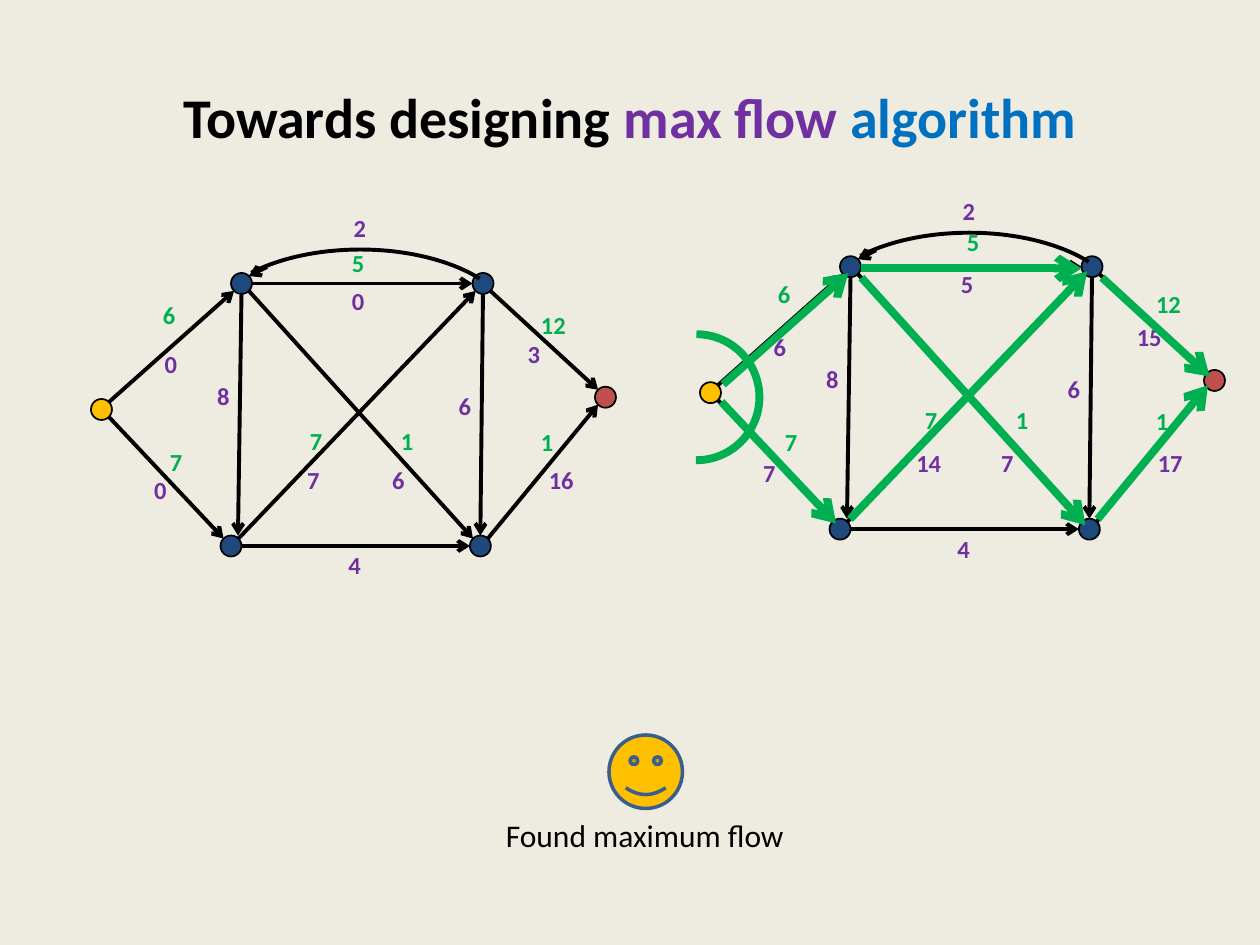
import pptx
import pptx.dml.color
import pptx.enum.shapes
import pptx.enum.text
import pptx.oxml
import pptx.oxml.ns
import pptx.util

Pt = pptx.util.Pt
RGBColor = pptx.dml.color.RGBColor
SHAPES = pptx.enum.shapes.MSO_SHAPE

CREAM = RGBColor(0xEE, 0xEC, 0xE1)
BLACK = RGBColor(0x00, 0x00, 0x00)
PURPLE = RGBColor(0x70, 0x30, 0xA0)
BLUE = RGBColor(0x00, 0x70, 0xC0)
NAVY = RGBColor(0x1F, 0x49, 0x7D)
GREEN = RGBColor(0x00, 0xB0, 0x50)
AMBER = RGBColor(0xFF, 0xC0, 0x00)
RED = RGBColor(0xC0, 0x50, 0x4D)
STEEL = RGBColor(0x3A, 0x5F, 0x8C)

RADIUS = 6
DIAGONAL = 4.24
PORTS = {
    "N": (0, -RADIUS), "S": (0, RADIUS), "W": (-RADIUS, 0), "E": (RADIUS, 0),
    "NW": (-DIAGONAL, -DIAGONAL), "NE": (DIAGONAL, -DIAGONAL),
    "SW": (-DIAGONAL, DIAGONAL), "SE": (DIAGONAL, DIAGONAL),
    "NNE": (4, -RADIUS),
}

# Centre and fill of each node in the left network
NODES = {
    "a": (138, 162, NAVY),
    "b": (276, 162, NAVY),
    "s": (58, 234, AMBER),
    "c": (132, 312, NAVY),
    "d": (274.5, 312, NAVY),
    "t": (346, 227, RED),
}

# Start node and port, end node and port, shift of the green flow (None: no flow)
EDGES = [
    ("s", "NE", "a", "SW", (3, -0.5)),
    ("a", "E", "b", "W", (0, 1)),
    ("s", "SE", "c", "NW", (2, 1)),
    ("c", "E", "d", "W", None),
    ("b", "S", "d", "N", None),
    ("a", "S", "c", "NNE", None),
    ("b", "SE", "t", "NW", (1.5, 2)),
    ("d", "NE", "t", "SW", (0.5, -1.5)),
    ("a", "SE", "d", "NW", (2, 2)),
    ("c", "NE", "b", "SW", (1.5, -1.5)),
]

# Left, top, value in the left network, value in the right network
CAPACITIES = [
    (87, 196, "0", "6"), (195, 118, "2", "2"), (306.5, 262, "16", "17"),
    (194, 160, "0", "5"), (255, 220, "6", "6"), (117, 214, "8", "8"),
    (81, 268, "0", "7"), (217, 262, "6", "7"), (168.5, 262, "7", "14"),
    (192, 311, "4", "4"), (294.5, 190, "3", "15"),
]
FLOWS = [
    (86, 168, "6"), (194, 138, "5"), (302, 173.5, "12"), (222, 240, "1"),
    (302, 240.5, "1"), (90, 252, "7"), (170, 240, "7"),
]

LEFT_NETWORK = (0, 0)
RIGHT_NETWORK = (348, -9.6)
RIGHT_FLOWS = (351.5, -11.8)


class SlideBuilder:
    """Draws styled elements on one slide; all lengths are in points."""

    font_name = "Calibri"

    def __init__(self, slide):
        self.slide = slide
        slide.background.fill.solid()
        slide.background.fill.fore_color.rgb = CREAM

    def add_run(self, paragraph, text, size, color, bold):
        run = paragraph.add_run()
        run.text = text
        run.font.name = self.font_name
        run.font.size = Pt(size)
        run.font.bold = bold
        run.font.color.rgb = color

    def title(self, box, parts):
        shape = self.slide.shapes.title
        shape.left, shape.top, shape.width, shape.height = map(Pt, box)
        frame = shape.text_frame
        frame.vertical_anchor = pptx.enum.text.MSO_ANCHOR.MIDDLE
        paragraph = frame.paragraphs[0]
        paragraph.alignment = pptx.enum.text.PP_ALIGN.CENTER
        for text, color in parts:
            self.add_run(paragraph, text, 32, color, True)

    def text(self, box, text, size=14, color=BLACK, bold=False):
        frame = self.slide.shapes.add_textbox(*map(Pt, box)).text_frame
        frame.word_wrap = False
        frame.auto_size = pptx.enum.text.MSO_AUTO_SIZE.SHAPE_TO_FIT_TEXT
        self.add_run(frame.paragraphs[0], text, size, color, bold)

    def label(self, left, top, value, color, offset):
        width = 14.4 + 7.1 * len(value)
        box = (left + offset[0], top + offset[1], width, 24.2)
        self.text(box, value, color=color, bold=True)

    def shape(self, kind, box, fill, line, weight):
        shape = self.slide.shapes.add_shape(kind, *map(Pt, box))
        shape.shadow.inherit = False
        if fill is None:
            shape.fill.background()
        else:
            shape.fill.solid()
            shape.fill.fore_color.rgb = fill
        shape.line.color.rgb = line
        shape.line.width = Pt(weight)
        return shape

    def arc(self, box, start, end, color, weight):
        """Draws an arc clockwise between two angles given in degrees."""
        arc = self.shape(SHAPES.ARC, box, None, color, weight)
        for index, degrees in enumerate((start, end)):
            arc.adjustments[index] = degrees * 0.6

    def arrow(self, start, end, color=BLACK, weight=2.25):
        connector = self.slide.shapes.add_connector(
            pptx.enum.shapes.MSO_CONNECTOR.STRAIGHT, *map(Pt, start + end))
        connector.line.color.rgb = color
        connector.line.width = Pt(weight)
        line = connector.line._get_or_add_ln()
        head = pptx.oxml.ns.qn("a:tailEnd")
        line.append(line.makeelement(head, {"type": "arrow"}))
        properties = connector._element.spPr
        properties.append(
            properties.makeelement(pptx.oxml.ns.qn("a:effectLst"), {}))

    def network(self, offset):
        """Draws the nodes, the edges and the curved edge from b back to a."""
        for x, y, fill in NODES.values():
            box = (x + offset[0] - RADIUS, y + offset[1] - RADIUS,
                   2 * RADIUS, 2 * RADIUS)
            self.shape(SHAPES.OVAL, box, fill, BLACK, 1)
        for start, out_port, end, in_port, _ in EDGES:
            self.arrow(port(start, out_port, offset), port(end, in_port, offset))
        arc_box = (117.4 + offset[0], 142.6 + offset[1], 177, 91.4)
        self.arc(arc_box, 207.55, 336.93, BLACK, 2.25)
        self.arrow((152.6 + offset[0], 152.6 + offset[1]), port("a", "NE", offset))

    def flow(self, offset):
        """Marks the edges that carry flow with thick green arrows."""
        for start, out_port, end, in_port, shift in EDGES:
            if shift is not None:
                moved = (offset[0] + shift[0], offset[1] + shift[1])
                self.arrow(port(start, out_port, moved),
                           port(end, in_port, moved), GREEN, 4.5)


def port(node, side, offset):
    """Returns the point on a node's rim at a compass direction."""
    x, y, _ = NODES[node]
    dx, dy = PORTS[side]
    return x + dx + offset[0], y + dy + offset[1]


def main():
    presentation = pptx.Presentation()
    presentation.slide_width = Pt(720)
    presentation.slide_height = Pt(540)
    builder = SlideBuilder(
        presentation.slides.add_slide(presentation.slide_layouts[5]))

    builder.title((36, 21.6, 648, 90), [
        ("Towards designing ", BLACK), ("max flow ", PURPLE), ("algorithm", BLUE)])

    builder.network(LEFT_NETWORK)
    builder.network(RIGHT_NETWORK)
    for left, top, before, after in CAPACITIES:
        builder.label(left, top, before, PURPLE, LEFT_NETWORK)
        builder.label(left, top, after, PURPLE, RIGHT_NETWORK)

    builder.flow(RIGHT_NETWORK)
    builder.arc((362, 191, 72, 72), 270, 90.45, GREEN, 4.5)
    for left, top, value in FLOWS:
        builder.label(left, top, value, GREEN, LEFT_NETWORK)
        builder.label(left, top, value, GREEN, RIGHT_FLOWS)

    builder.shape(SHAPES.SMILEY_FACE, (348, 420, 42, 42), AMBER, STEEL, 2)
    builder.text((282, 463, 175, 29), "Found maximum flow", size=18)
    presentation.save("out.pptx")


if __name__ == "__main__":
    main()
